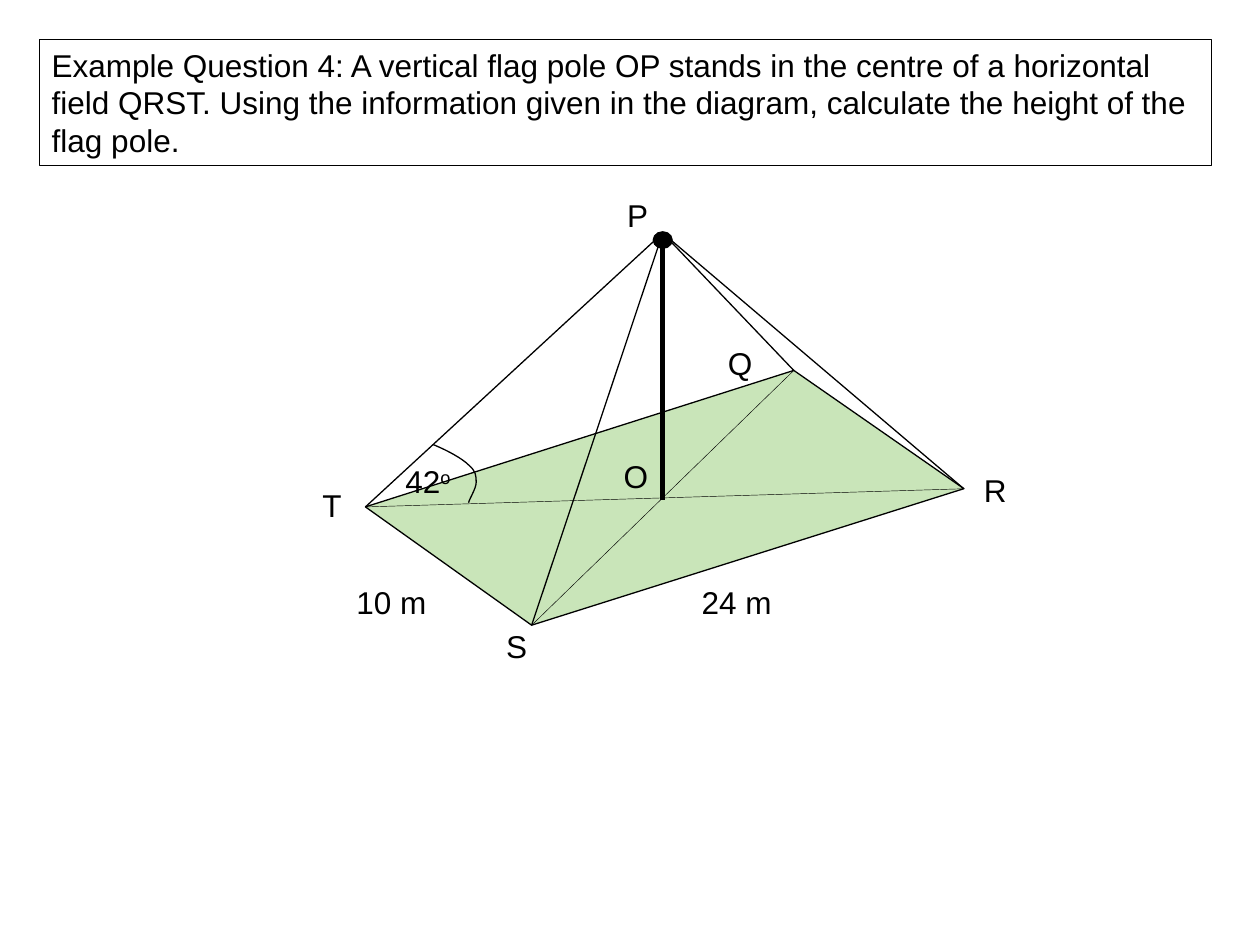
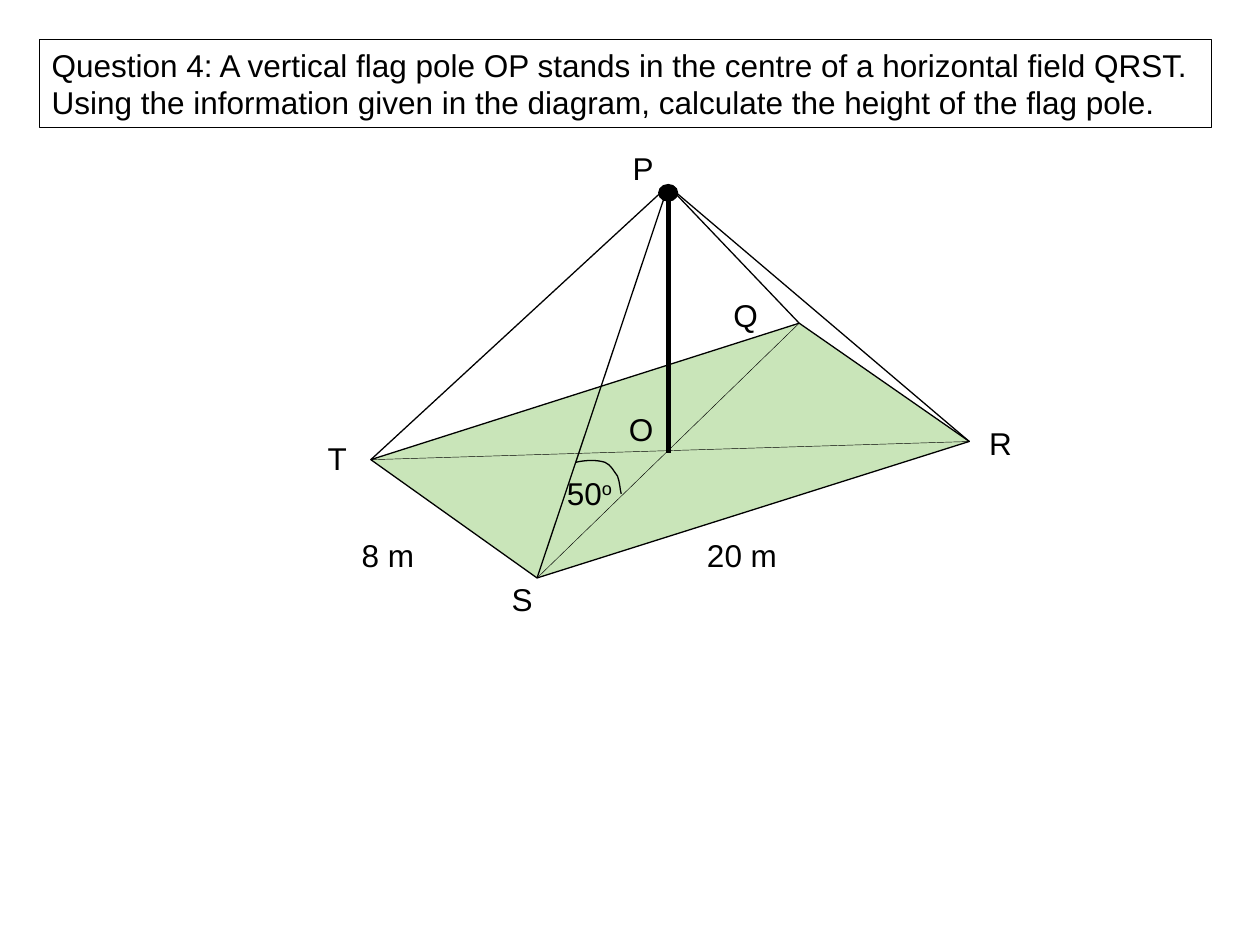
from lxml.etree import SubElement
from pptx import Presentation
from pptx.dml.color import RGBColor
from pptx.enum.shapes import MSO_CONNECTOR as Connector, MSO_SHAPE as Shape
from pptx.enum.text import MSO_ANCHOR as Anchor, PP_ALIGN as Align
from pptx.oxml.ns import qn
from pptx.util import Pt

BLACK, GRASS = "000000", "C9E5B9"
FONT, TEXT_SIZE = "Arial", 18
OUTLINE, HAIRLINE, POLE_WIDTH = 0.75, 0.25, 3
LABEL_HEIGHT = 28.8
QUESTION_BOX = (22.5, 22.5, 670)  # left, top, width

# Points of the diagram, relative to its top left corner
CORNERS = {"T": (31.7, 181), "Q": (276.5, 103),
           "R": (373.7, 170.6), "S": (126.7, 248.6)}
POLE_TOP, POLE_FOOT = (201.6, 24.5), (201.6, 177.1)
POINT_LABELS = {"P": (174.2, 0), "Q": (231.8, 84.2), "O": (172.1, 149),
                "T": (0, 165.6), "R": (378, 157), "S": (105.1, 246.2)}
SHORT_SIDE_LABEL, LONG_SIDE_LABEL = (19.4, 221), (216.7, 221)

QUESTION = ("Question 4: A vertical flag pole OP stands in the centre of a "
            "horizontal field QRST. Using the information given in the "
            "diagram, calculate the height of the flag pole.")

# Each arc is a start point followed by three points for every Bézier curve
SLIDES = [
    {"question": "Example " + QUESTION, "question_height": 72,
     "origin": (177.1, 108.7), "sides": ("10 m", "24 m"),
     "angle": "42", "angle_at": (47.5, 151.9),
     "arc": [(70.6, 145.4),
             (79.2, 149), (87.1, 153.4), (90.7, 157),
             (95, 160.6), (95, 163.4), (95, 167),
             (95, 170.6), (90.7, 177.1), (90.7, 178.6)]},
    {"question": QUESTION, "question_height": 50.4,
     "origin": (180.2, 81.7), "sides": ("8 m", "20 m"),
     "angle": "50", "angle_at": (136.7, 185.4),
     "arc": [(148.9, 182.5),
             (154.7, 181.1), (161.1, 181.1), (165.5, 182.5),
             (169.1, 184), (170.5, 187.6), (172.7, 190.4),
             (174.1, 194), (174.1, 198.4), (174.8, 200.5)]},
]


def color(hex_text):
    return RGBColor.from_string(hex_text)


def style(shape, fill=None, width=OUTLINE):
    shape.shadow.inherit = False
    if fill:
        shape.fill.solid()
        shape.fill.fore_color.rgb = color(fill)
    else:
        shape.fill.background()
    shape.line.color.rgb = color(BLACK)
    shape.line.width = Pt(width)


def write(shape, text, superscript="", size=TEXT_SIZE, fill=BLACK):
    frame = shape.text_frame
    frame.word_wrap = True
    frame.vertical_anchor = Anchor.TOP
    paragraph = frame.paragraphs[0]
    paragraph.alignment = Align.LEFT
    for part in filter(None, (text, superscript)):
        run = paragraph.add_run()
        run.text = part
        run.font.name = FONT
        run.font.size = Pt(size)
        run.font.color.rgb = color(fill)
    if superscript:
        run.font._element.set("baseline", "30000")


def add_label(slide, text, position, width, **text_format):
    left, top = position
    box = slide.shapes.add_textbox(Pt(left), Pt(top), Pt(width), Pt(LABEL_HEIGHT))
    write(box, text, **text_format)


def add_line(slide, start, end, width=OUTLINE):
    line = slide.shapes.add_connector(
        Connector.STRAIGHT, *(Pt(value) for value in (*start, *end)))
    line.line.color.rgb = color(BLACK)
    line.line.width = Pt(width)
    SubElement(line._element.spPr, qn("a:effectLst"))


def add_outline(slide, points, close):
    points = [(Pt(x), Pt(y)) for x, y in points]
    builder = slide.shapes.build_freeform(*points[0])
    builder.add_line_segments(points[1:], close=close)
    return builder.convert_to_shape()


def add_arc(slide, points):
    """Draw the points as a chain of cubic Bézier curves."""
    arc = add_outline(slide, points, close=False)
    style(arc)
    path = arc._element.find(".//" + qn("a:path"))
    segments = path.findall(qn("a:lnTo"))
    for first in range(0, len(segments), 3):
        curve = SubElement(path, qn("a:cubicBezTo"))
        for segment in segments[first:first + 3]:
            curve.append(segment[0])
            path.remove(segment)


def add_question(slide, text, height):
    box = slide.shapes.add_shape(
        Shape.RECTANGLE, *(Pt(value) for value in (*QUESTION_BOX, height)))
    style(box)
    write(box, text)


def add_diagram(slide, origin, sides, angle, angle_at, arc):
    def place(point):
        return origin[0] + point[0], origin[1] + point[1]

    corners = {name: place(point) for name, point in CORNERS.items()}
    top, foot = place(POLE_TOP), place(POLE_FOOT)

    field = add_outline(slide, list(corners.values()), close=True)
    style(field, fill=GRASS)

    ball_width, ball_height = 10.8, 9.4
    ball = slide.shapes.add_shape(
        Shape.OVAL, Pt(top[0] - ball_width / 2), Pt(top[1] - 0.7),
        Pt(ball_width), Pt(ball_height))
    style(ball, fill=BLACK)
    add_line(slide, foot, (top[0], top[1] + 7.2), width=POLE_WIDTH)

    for start, end in ("SQ", "TR"):
        add_line(slide, corners[start], corners[end], width=HAIRLINE)
    for corner in corners.values():
        add_line(slide, corner, top)

    for name, point in POINT_LABELS.items():
        add_label(slide, name, place(point), width=27.4)
    for text, point in zip(sides, (SHORT_SIDE_LABEL, LONG_SIDE_LABEL)):
        add_label(slide, text, place(point), width=70.6)
    add_label(slide, angle, place(angle_at), width=59.8, superscript="o")
    add_arc(slide, [place(point) for point in arc])


def main():
    presentation = Presentation()
    presentation.slide_width, presentation.slide_height = Pt(720), Pt(540)
    for content in SLIDES:
        slide = presentation.slides.add_slide(presentation.slide_layouts[6])
        add_diagram(slide, content["origin"], content["sides"],
                    content["angle"], content["angle_at"], content["arc"])
        add_question(slide, content["question"], content["question_height"])
    presentation.save("out.pptx")


if __name__ == "__main__":
    main()
